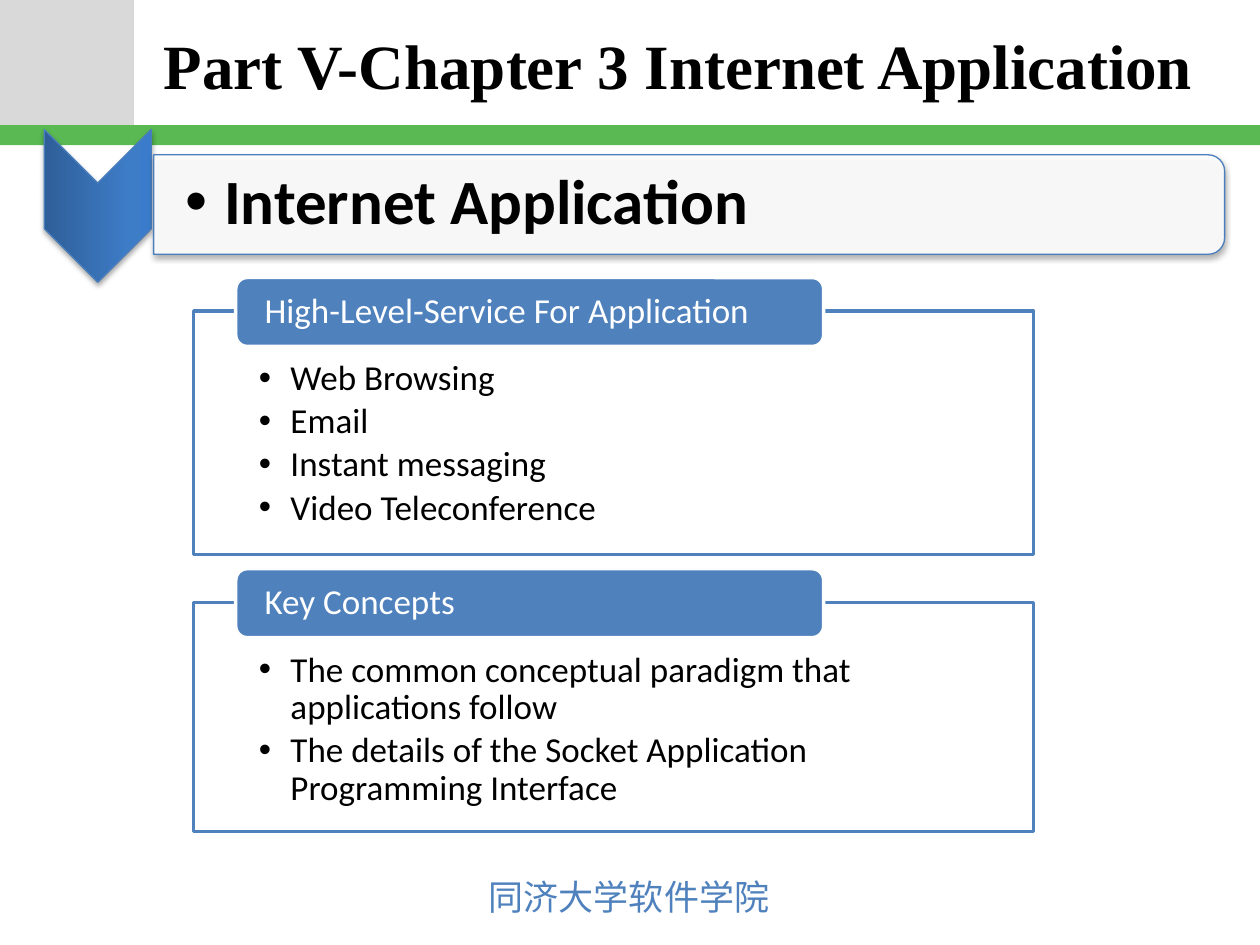
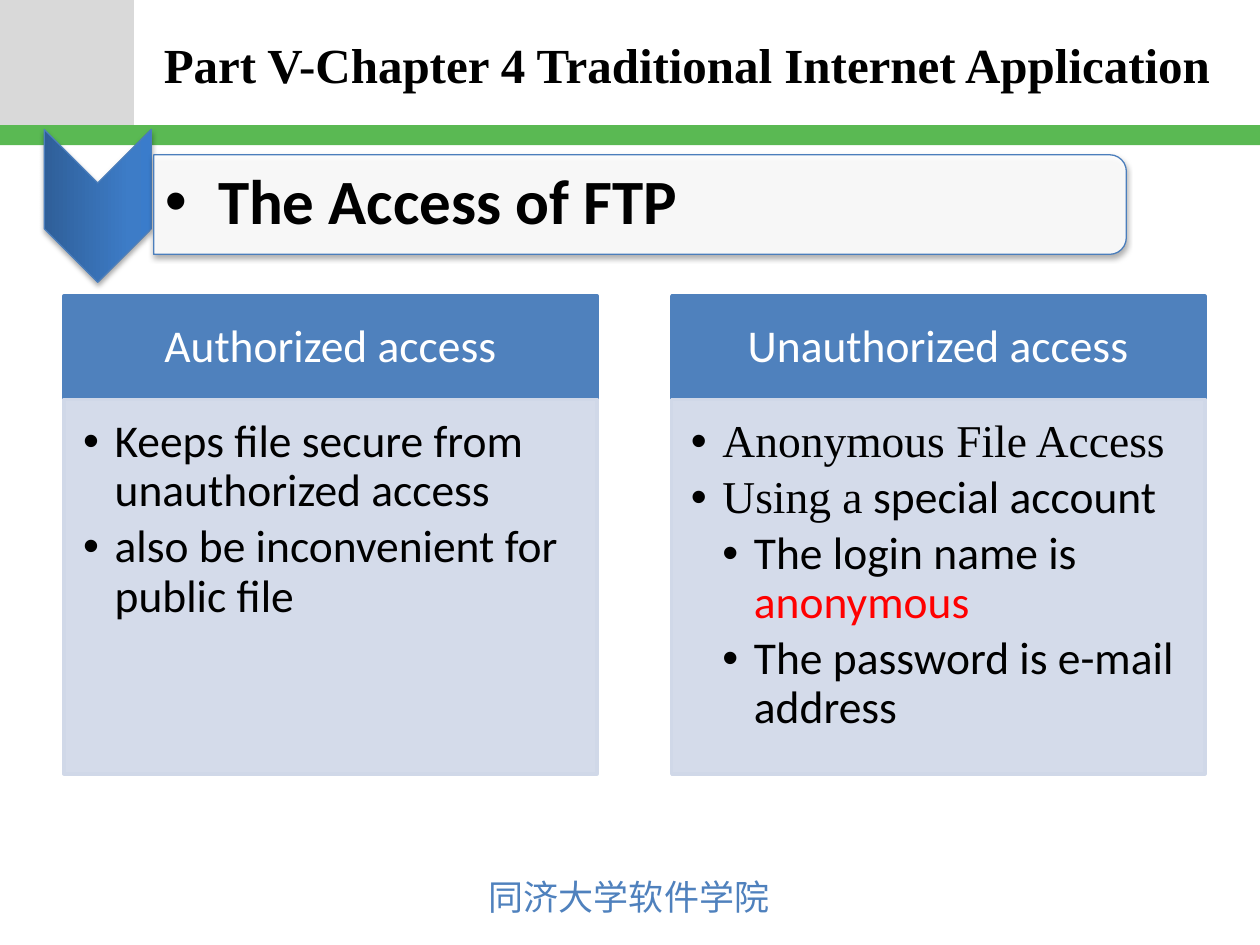
from lxml import etree
from pptx import Presentation
from pptx.dml.color import RGBColor
from pptx.enum.shapes import MSO_SHAPE
from pptx.enum.text import MSO_ANCHOR, MSO_AUTO_SIZE, PP_ALIGN
from pptx.oxml import parse_xml
from pptx.oxml.ns import nsdecls, qn
from pptx.util import Pt

COLORS = {
    "corner": "D9D9D9", "band": "5AB953", "blue": "4F81BD", "outline": "4B7EBC",
    "panel": "D0D8E8", "white": "FFFFFF", "black": "000000", "red": "FF0000",
}
CHEVRON_STOPS = [(0, "2F5F99"), (80, "3D7CC7"), (100, "3A7CCB")]
SANS, SERIF, CJK = "Calibri", "Times New Roman", "Noto Sans CJK JP"


def add_box(slide, kind, at, fill, line=None, width=2, alpha=100, shadow=False):
    """Add a preset shape with its fill, outline and optional soft shadow."""
    box = slide.shapes.add_shape(kind, *[Pt(v) for v in at])
    box.fill.solid()
    box.fill.fore_color.rgb = RGBColor.from_string(COLORS[fill])
    if alpha < 100:
        color = box.element.spPr.find(qn("a:solidFill"))[0]
        etree.SubElement(color, qn("a:alpha"), val=str(alpha * 1000))
    if line:
        box.line.color.rgb = RGBColor.from_string(COLORS[line])
        box.line.width = Pt(width)
    else:
        box.line.fill.background()
    box.shadow.inherit = False
    if shadow:
        box.element.spPr.find(qn("a:effectLst")).append(parse_xml(
            f'<a:outerShdw {nsdecls("a")} blurRad="40000" dist="23000" dir="5400000" '
            'rotWithShape="0"><a:srgbClr val="000000"><a:alpha val="35000"/>'
            '</a:srgbClr></a:outerShdw>'))
    return box


def write(shape, paragraphs, size, insets, anchor=MSO_ANCHOR.MIDDLE, hang=0,
          after=0, align=PP_ALIGN.LEFT, bold=False):
    """Fill a shape with (level, [(text, font, color), ...]) paragraphs."""
    frame = shape.text_frame
    frame.word_wrap = True
    frame.vertical_anchor = anchor
    (frame.margin_left, frame.margin_top,
     frame.margin_right, frame.margin_bottom) = [Pt(v) for v in insets]
    for i, (level, pieces) in enumerate(paragraphs):
        paragraph = frame.add_paragraph() if i else frame.paragraphs[0]
        paragraph.alignment = align
        paragraph.line_spacing = 0.9
        paragraph.space_after = Pt(after)
        if level:
            paragraph.level = level
            properties = paragraph._p.get_or_add_pPr()
            properties.set("marL", str(Pt(hang * level)))
            properties.set("indent", str(-Pt(hang)))
            etree.SubElement(properties, qn("a:buFont"), typeface="Arial")
            etree.SubElement(properties, qn("a:buChar"), char="•")
        for text, font, color in pieces:
            run = paragraph.add_run()
            run.text = text
            run.font.name = font
            run.font.size = Pt(size)
            run.font.bold = bold
            run.font.color.rgb = RGBColor.from_string(COLORS[color])


prs = Presentation()
prs.slide_width, prs.slide_height = Pt(720), Pt(540)
title_only = prs.slide_layouts[5]

# Title, title size, heading, heading left and hang, banner width
topics = [
    ("Part V-Chapter 3 Internet Application", 36,
     "Internet Application", 87.8, 22.3, 612),
    ("Part V-Chapter 4 Traditional Internet Application", 28,
     "The Access of FTP", 76.3, 30.3, 555.8),
]
slides = []
for title, title_size, heading, heading_left, heading_hang, banner_width in topics:
    slide = prs.slides.add_slide(title_only)
    slides.append(slide)

    # Title
    name = slide.shapes.title
    name.left, name.top, name.width, name.height = Pt(86.4), Pt(1.5), Pt(619.2), Pt(70.5)
    name.text_frame.text = title
    name.text_frame.auto_size = MSO_AUTO_SIZE.NONE
    name.text_frame.vertical_anchor = MSO_ANCHOR.MIDDLE
    name.text_frame.paragraphs[0].alignment = PP_ALIGN.LEFT
    title_font = name.text_frame.paragraphs[0].runs[0].font
    title_font.name, title_font.size, title_font.bold = SERIF, Pt(title_size), True
    title_font.color.rgb = RGBColor.from_string(COLORS["black"])

    # Chevron, turned to point down
    chevron = add_box(slide, MSO_SHAPE.CHEVRON, (12.2, 87.1, 87.3, 61.2),
                      "blue", "outline", 0.75, shadow=True)
    chevron.rotation = 90
    stops = "".join(f'<a:gs pos="{pos * 1000}"><a:srgbClr val="{color}"/></a:gs>'
                    for pos, color in CHEVRON_STOPS)
    solid = chevron.element.spPr.find(qn("a:solidFill"))
    solid.getparent().replace(solid, parse_xml(
        f'<a:gradFill {nsdecls("a")} rotWithShape="1"><a:gsLst>{stops}</a:gsLst>'
        '<a:lin ang="16200000" scaled="0"/></a:gradFill>'))

    # Heading banner, turned so its rounded corners face right
    banner_left, banner_middle, banner_height = 87.8, 116.9, 56.9
    banner = add_box(slide, MSO_SHAPE.ROUND_2_SAME_RECTANGLE,
                     (banner_left + (banner_width - banner_height) / 2,
                      banner_middle - banner_width / 2, banner_height, banner_width),
                     "white", "outline", 0.75, alpha=90, shadow=True)
    banner.rotation = 90
    heading_box = slide.shapes.add_textbox(
        Pt(heading_left), Pt(91), Pt(banner_width - 3), Pt(51.1))
    write(heading_box, [(1, [(heading, SANS, "black")])], 36, (18, 1.5, 1.5, 1.5),
          hang=heading_hang, after=5.4, bold=True)

# Corner block, green band and school name, shared through the layout
first = slides[0]
corner = add_box(first, MSO_SHAPE.RECTANGLE, (0, 0, 76.5, 71.5), "corner")
band = add_box(first, MSO_SHAPE.RECTANGLE, (0, 71.5, 720, 11.5), "band")
school = first.shapes.add_textbox(Pt(272.2), Pt(496.8), Pt(176.4), Pt(31.7))
school.text_frame.text = "同济大学软件学院"
school.text_frame.word_wrap = False
school.text_frame.auto_size = MSO_AUTO_SIZE.SHAPE_TO_FIT_TEXT
school_run = school.text_frame.paragraphs[0].runs[0]
school_run.font.name, school_run.font.size = CJK, Pt(20)
school_run.font.color.rgb = RGBColor.from_string(COLORS["blue"])
etree.SubElement(school_run._r.get_or_add_rPr(), qn("a:ea"), typeface=CJK)
for part in (corner, band, school):
    title_only.shapes.element.append(part.element)

# Slide 1: framed lists with a label on the top edge
framed_lists = [
    (177.8, 139, "High-Level-Service For Application",
     ["Web Browsing", "Email", "Instant messaging", "Video Teleconference"]),
    (344.2, 131, "Key Concepts",
     ["The common conceptual paradigm that applications follow",
      "The details of the Socket Application Programming Interface"]),
]
for top, height, label, items in framed_lists:
    frame_box = add_box(slides[0], MSO_SHAPE.RECTANGLE, (110.7, top, 480, height),
                        "white", "blue", alpha=90)
    write(frame_box, [(1, [(item, SANS, "black")]) for item in items], 20,
          (37.3, 28.3, 37.3, 11.4), MSO_ANCHOR.TOP, hang=18, after=3)
    tab = add_box(slides[0], MSO_SHAPE.ROUNDED_RECTANGLE, (134.7, top - 19.2, 336, 39.4),
                  "blue", "white")
    write(tab, [(0, [(label, SANS, "white")])], 20, (14.6, 0, 14.6, 0))

# Slide 2: two kinds of access side by side
access_kinds = [
    ("Authorized access", [
        (1, [("Keeps file secure from unauthorized access", SANS, "black")]),
        (1, [("also be inconvenient for public file", SANS, "black")]),
    ]),
    ("Unauthorized access", [
        (1, [("Anonymous File Access", SERIF, "black")]),
        (1, [("Using a", SERIF, "black"), (" special account", SANS, "black")]),
        (2, [("The login name is ", SANS, "black"), ("anonymous", SANS, "red")]),
        (2, [("The password is e-mail address", SANS, "black")]),
    ]),
]
for column, (kind, points) in enumerate(access_kinds):
    left = 36.5 + column * 347.3
    header = add_box(slides[1], MSO_SHAPE.RECTANGLE, (left, 169.2, 304.7, 59), "blue", "blue")
    write(header, [(0, [(kind, SANS, "white")])], 26, (14.6, 8.4, 14.6, 8.4),
          align=PP_ALIGN.CENTER)
    panel = add_box(slides[1], MSO_SHAPE.RECTANGLE, (left, 228.2, 304.7, 214),
                    "panel", "panel", alpha=90)
    write(panel, points, 26, (11, 11, 14.6, 16.4), MSO_ANCHOR.TOP, hang=18, after=3.9)

prs.save("out.pptx")
